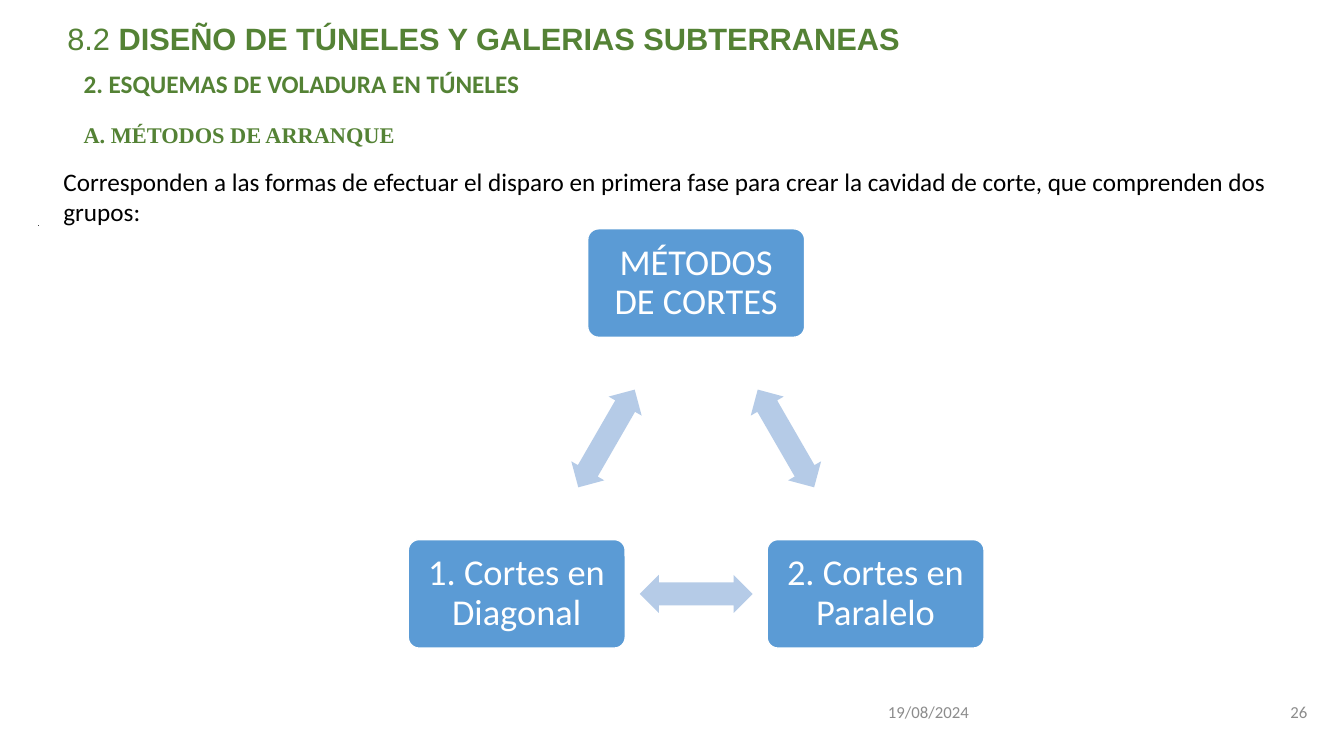
"""Build the slide on blasting cut methods for tunnels."""
from math import cos, radians, sin

from pptx import Presentation
from pptx.dml.color import RGBColor
from pptx.enum import shapes, text
from pptx.util import Pt

LEFT, CENTER, RIGHT = text.PP_ALIGN.LEFT, text.PP_ALIGN.CENTER, text.PP_ALIGN.RIGHT
TOP, MIDDLE = text.MSO_ANCHOR.TOP, text.MSO_ANCHOR.MIDDLE

THEME = {
    "colors": {"green": "548235", "black": "000000", "gray": "8C8C8C",
               "white": "FFFFFF", "blue": "5B9BD5", "pale": "B5CBE7"},
    "type": {
        "title": ("green", {"name": "Arial", "size": Pt(22)}),
        "heading": ("green", {"name": "Calibri", "size": Pt(18), "bold": True}),
        "subheading": ("green", {"name": "Times New Roman", "size": Pt(16), "bold": True}),
        "body": ("black", {"name": "Calibri", "size": Pt(18)}),
        "footer": ("gray", {"name": "Calibri", "size": Pt(12)}),
        "node": ("white", {"name": "Calibri", "size": Pt(26)}),
    },
}

TITLE = [("8.2 ", False), ("DISEÑO DE TÚNELES Y GALERIAS SUBTERRANEAS", True)]
TITLE_BOX = (26.6, 10.8, 713.5, 33.8)
TEXTS = [
    ("2. ESQUEMAS DE VOLADURA EN TÚNELES", "heading", (52.6, 45.4, 355.7, 28.8), LEFT, TOP),
    ("A. MÉTODOS DE ARRANQUE", "subheading", (52.6, 82.8, 452.2, 26.6), LEFT, TOP),
    ("Corresponden a las formas de efectuar el disparo en primera fase para crear "
     "la cavidad de corte, que comprenden dos grupos:",
     "body", (38.2, 115.2, 902.9, 51.1), LEFT, TOP),
    ("19/08/2024", "footer", (627.1, 493.9, 257.8, 28.8), LEFT, MIDDLE),
    ("26", "footer", (890.6, 493.9, 50.4, 28.8), RIGHT, MIDDLE),
]
NODES = ["MÉTODOS DE CORTES", "2. Cortes en Paralelo", "1. Cortes en Diagonal"]
CYCLE = {"center": (497.3, 350.2), "radius": 148, "node": (155, 77.5), "arrow": (80.6, 27.2)}
DOT = (27.4, 161.3, 0, 0)


def rgb(name):
    return RGBColor.from_string(THEME["colors"][name])


def set_all(target, values):
    for key, value in values.items():
        setattr(target, key, value)


def add_run(p, words, style, **extra):
    color, font = THEME["type"][style]
    r = p.add_run()
    r.text = words
    set_all(r.font, {**font, **extra})
    r.font.color.rgb = rgb(color)


def add_text(s, box, anchor=TOP):
    tf = s.shapes.add_textbox(*map(Pt, box)).text_frame
    set_all(tf, {"word_wrap": True, "vertical_anchor": anchor})
    return tf.paragraphs[0]


def add_shape(s, kind, box, fill, line=None, width=1):
    sp = s.shapes.add_shape(kind, *map(Pt, box))
    sp.shadow.inherit = False
    sp.fill.solid()
    sp.fill.fore_color.rgb = rgb(fill)
    if line:
        sp.line.color.rgb = rgb(line)
        sp.line.width = Pt(width)
    else:
        sp.line.fill.background()
    return sp


def centered(x, y, size):
    w, h = size
    return x - w / 2, y - h / 2, w, h


def add_cycle(s):
    cx, cy = CYCLE["center"]
    step = 360 / len(NODES)
    angles = [radians(i * step - 90) for i in range(len(NODES))]
    points = [(cx + CYCLE["radius"] * cos(a), cy + CYCLE["radius"] * sin(a)) for a in angles]
    for i, (label, (x, y)) in enumerate(zip(NODES, points)):
        sp = add_shape(s, shapes.MSO_SHAPE.ROUNDED_RECTANGLE,
                       centered(x, y, CYCLE["node"]), "blue", "white")
        sp.adjustments[0] = 0.1
        tf = sp.text_frame
        set_all(tf, {"word_wrap": True, "vertical_anchor": MIDDLE,
                     **{f"margin_{side}": Pt(10) for side in ("left", "right", "top", "bottom")}})
        p = tf.paragraphs[0]
        set_all(p, {"alignment": CENTER, "line_spacing": 0.9})
        add_run(p, label, "node")

        nx, ny = points[(i + 1) % len(points)]
        arrow = add_shape(s, shapes.MSO_SHAPE.LEFT_RIGHT_ARROW,
                          centered((x + nx) / 2, (y + ny) / 2, CYCLE["arrow"]), "pale")
        arrow.adjustments[0], arrow.adjustments[1] = 0.6, 0.5
        arrow.rotation = 60 + i * step


def main():
    prs = Presentation()
    set_all(prs, {"slide_width": Pt(960), "slide_height": Pt(540)})
    s = prs.slides.add_slide(prs.slide_layouts[6])
    add_shape(s, shapes.MSO_SHAPE.RECTANGLE, DOT, "blue", "black", 0.75)

    p = add_text(s, TITLE_BOX)
    p.space_after = Pt(6)
    pPr = p._p.get_or_add_pPr()
    pPr.set("marL", str(Pt(49.7)))
    pPr.set("indent", str(Pt(-35.3)))
    for words, bold in TITLE:
        add_run(p, words, "title", bold=bold)

    for words, style, box, align, anchor in TEXTS:
        p = add_text(s, box, anchor)
        p.alignment = align
        add_run(p, words, style)

    add_cycle(s)
    prs.save("out.pptx")


if __name__ == "__main__":
    main()
